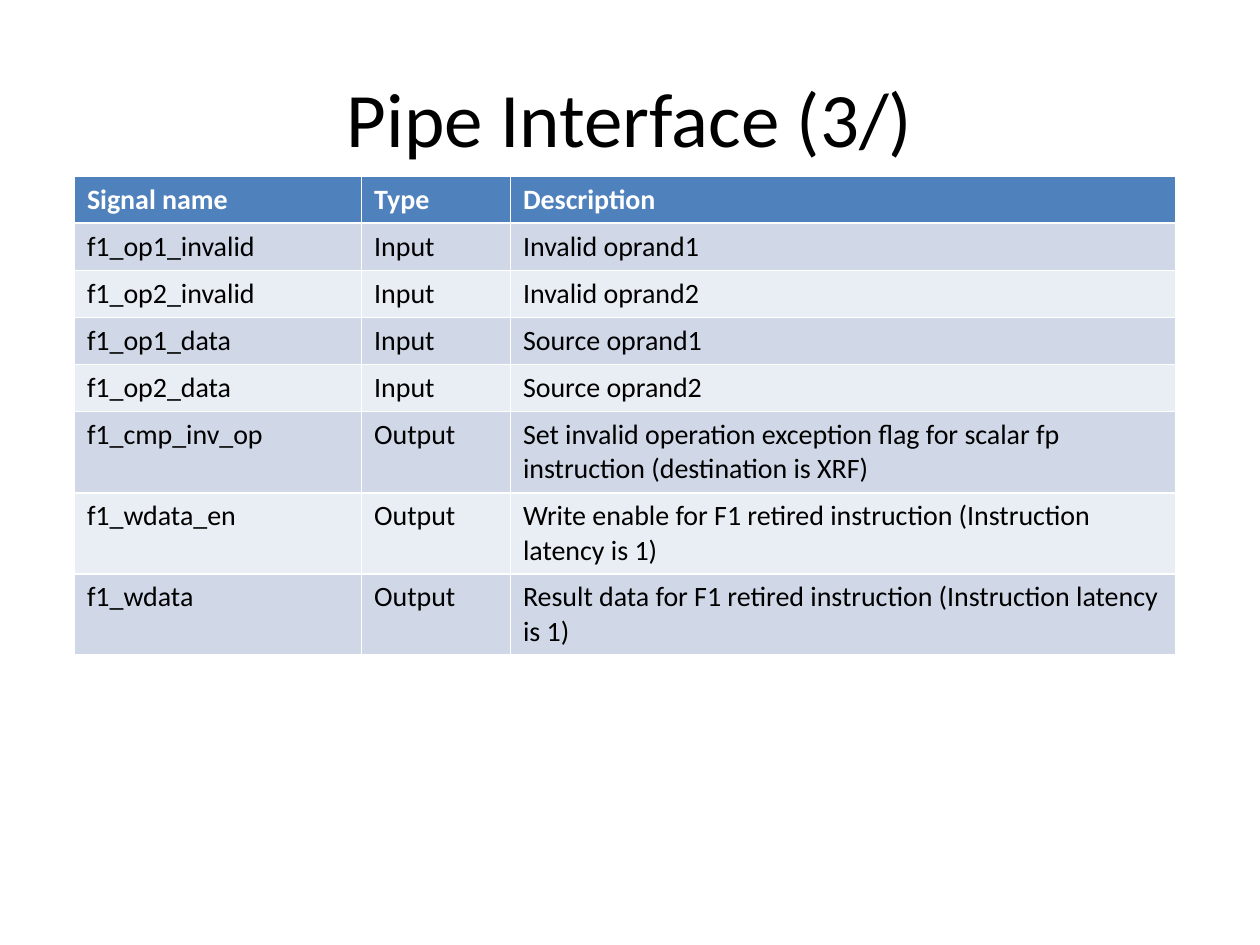
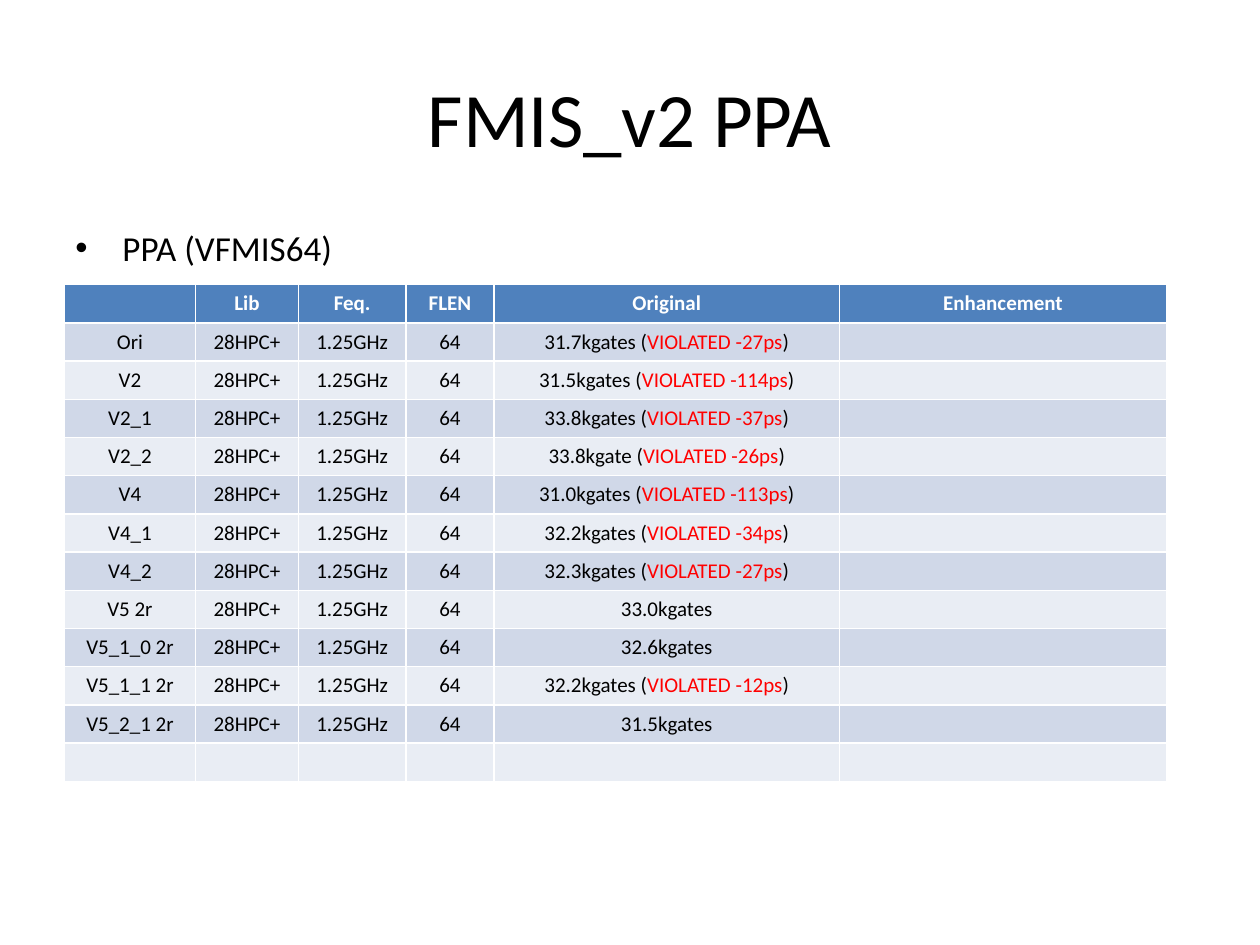
from lxml.etree import SubElement
from pptx import Presentation
from pptx.dml.color import RGBColor
from pptx.enum.text import MSO_ANCHOR as Anchor, PP_ALIGN as Align
from pptx.oxml.ns import qn
from pptx.util import Cm, Pt

BLACK, WHITE, RED = "000000", "FFFFFF", "FF0000"
HEADER_FILL = "4F81BD"
BAND_FILLS = ("D0D8E8", "E9EDF4")

SIGNALS = [
    ("Signal name", "Type", "Description"),
    ("f1_op1_invalid", "Input", "Invalid oprand1"),
    ("f1_op2_invalid", "Input", "Invalid oprand2"),
    ("f1_op1_data", "Input", "Source oprand1"),
    ("f1_op2_data", "Input", "Source oprand2"),
    ("f1_cmp_inv_op", "Output",
     "Set invalid operation exception flag for scalar fp instruction (destination is XRF)"),
    ("f1_wdata_en", "Output",
     "Write enable for F1 retired instruction (Instruction latency is 1)"),
    ("f1_wdata", "Output",
     "Result data for F1 retired instruction (Instruction latency is 1)"),
]

PPA_HEADER = ("", "Lib", "Feq.", "FLEN", "Original", "Enhancement")
# version, area, timing violation
PPA_RESULTS = [
    ("Ori", "31.7kgates", "-27ps"),
    ("V2", "31.5kgates", "-114ps"),
    ("V2_1", "33.8kgates", "-37ps"),
    ("V2_2", "33.8kgate", "-26ps"),
    ("V4", "31.0kgates", "-113ps"),
    ("V4_1", "32.2kgates", "-34ps"),
    ("V4_2", "32.3kgates", "-27ps"),
    ("V5 2r", "33.0kgates", None),
    ("V5_1_0 2r", "32.6kgates", None),
    ("V5_1_1 2r", "32.2kgates", "-12ps"),
    ("V5_2_1 2r", "31.5kgates", None),
]


def rgb(color):
    return RGBColor.from_string(color)


def area_runs(area, slack):
    """Area text, with any timing violation as a red run."""
    if slack is None:
        return area
    return [(f"{area} (", BLACK), (f"VIOLATED {slack}", RED), (")", BLACK)]


class Deck:
    font = "Calibri"
    title_size = 44

    def __init__(self):
        self.prs = Presentation()
        self.prs.slide_width, self.prs.slide_height = Cm(25.4), Cm(19.05)
        self.s = None

    def fill_text(self, p, content, size, color=BLACK, bold=False, align=Align.LEFT):
        """Fill a paragraph from a string or a list of (text, colour) runs."""
        p.alignment = align
        runs = [(content, color)] if isinstance(content, str) else content
        for text, run_color in runs:
            if not text:
                end = SubElement(p._p, qn("a:endParaRPr"))
                end.set("sz", str(size * 100))
                continue
            r = p.add_run()
            r.text = text
            style = {"name": self.font, "size": Pt(size), "bold": bold}
            for name, value in style.items():
                setattr(r.font, name, value)
            r.font.color.rgb = rgb(run_color)

    def slide(self, title):
        self.s = self.prs.slides.add_slide(self.prs.slide_layouts[5])
        sp = self.s.shapes.title
        place = {"left": 1.27, "top": 0.76, "width": 22.86, "height": 3.18}
        for name, value in place.items():
            setattr(sp, name, Cm(value))
        sp.text_frame.vertical_anchor = Anchor.MIDDLE
        self.fill_text(sp.text_frame.paragraphs[0], title, self.title_size,
                       align=Align.CENTER)

    def bullet(self, text, left, top, width, height, size=20, indent=0.95):
        sp = self.s.shapes.add_textbox(Cm(left), Cm(top), Cm(width), Cm(height))
        tf = sp.text_frame
        tf.word_wrap = True
        p = tf.paragraphs[0]
        ppr = p._p.get_or_add_pPr()
        ppr.set("marL", str(Cm(indent)))
        ppr.set("indent", str(-Cm(indent)))
        SubElement(ppr, qn("a:buFont")).set("typeface", "Arial")
        SubElement(ppr, qn("a:buChar")).set("char", "•")
        self.fill_text(p, text, size)

    def table(self, rows, left, top, widths, heights, size, align=Align.LEFT):
        """Header row plus banded rows; the table style draws white borders."""
        frame = self.s.shapes.add_table(
            len(rows), len(widths), Cm(left), Cm(top),
            Cm(sum(widths)), Cm(sum(heights)))
        table = frame.table
        for column, width in zip(table.columns, widths):
            column.width = Cm(width)
        for i, (row, height) in enumerate(zip(rows, heights)):
            table.rows[i].height = Cm(height)
            header = i == 0
            fill = HEADER_FILL if header else BAND_FILLS[(i - 1) % 2]
            for cell, content in zip(table.rows[i].cells, row):
                cell.fill.solid()
                cell.fill.fore_color.rgb = rgb(fill)
                self.fill_text(cell.text_frame.paragraphs[0], content, size,
                               WHITE if header else BLACK, header, align)


def pipe_interface(deck):
    deck.slide("Pipe Interface (3/)")
    one_line, two_lines = 0.95, 1.63
    deck.table(SIGNALS, 1.5, 3.55, [5.79, 3, 13.41],
               [one_line] * 5 + [two_lines] * 3, size=16)


def ppa_results(deck):
    deck.slide("FMIS_v2 PPA")
    deck.bullet("PPA (VFMIS64)", 1.27, 4.45, 22.86, 12.57)
    rows = [PPA_HEADER]
    rows += [(version, "28HPC+", "1.25GHz", "64", area_runs(area, slack), "")
             for version, area, slack in PPA_RESULTS]
    rows.append([""] * len(PPA_HEADER))
    deck.table(rows, 1.3, 5.74, [2.64, 2.08, 2.16, 1.78, 6.96, 6.6],
               [0.77] * len(rows), size=12, align=Align.CENTER)


def main():
    deck = Deck()
    pipe_interface(deck)
    ppa_results(deck)
    deck.prs.save("out.pptx")


if __name__ == "__main__":
    main()
